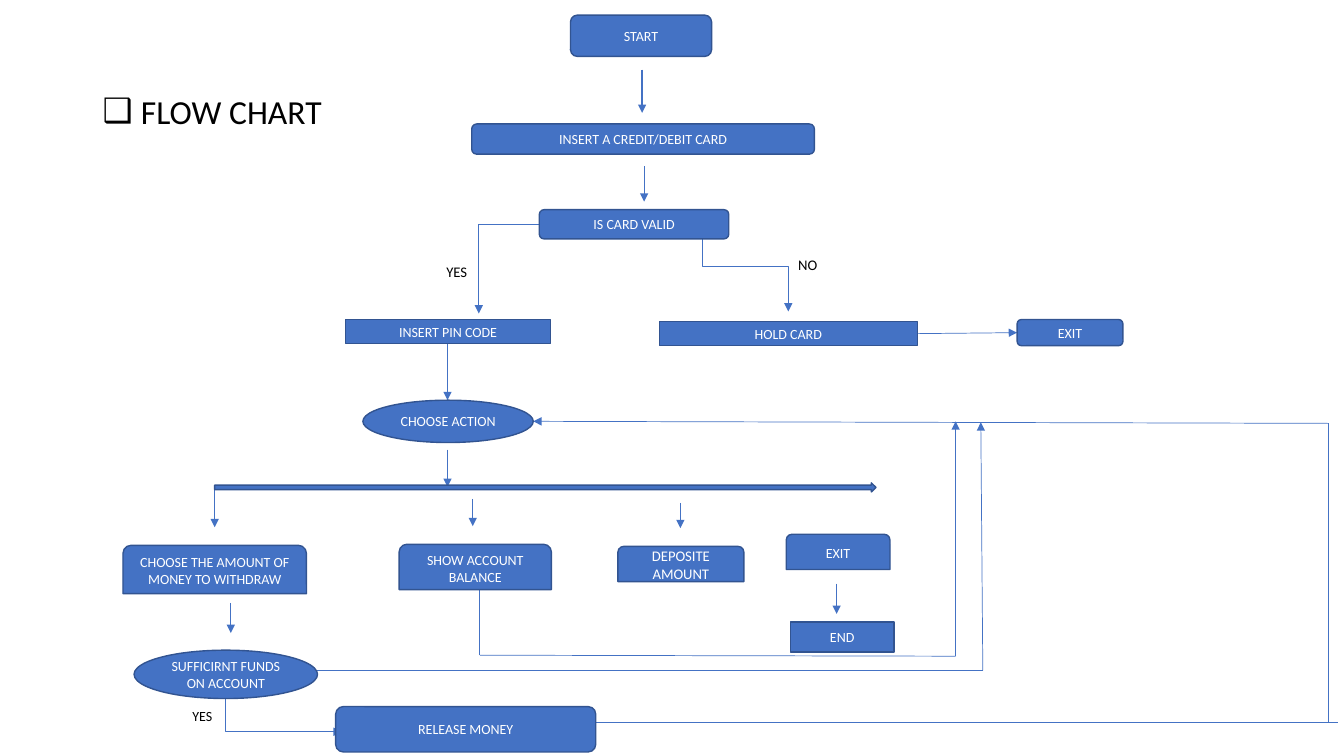
from lxml import etree
from pptx import Presentation
from pptx import util as u
from pptx.dml import color
from pptx.enum import shapes, text
from pptx.oxml import ns

UNIT = 0.1
COLS, ROWS = 133.33, 75
FONT = "Calibri"
BLUE, NAVY, WHITE, BLACK = "4472C4", "325491", "FFFFFF", "000000"

KIND = shapes.MSO_SHAPE
ROUND, RECT, OVAL = KIND.ROUNDED_RECTANGLE, KIND.RECTANGLE, KIND.OVAL
TOP_ROUND, BAR = KIND.ROUND_2_SAME_RECTANGLE, KIND.RIGHT_ARROW

NODES = [
    (ROUND, 56.6, 1.5, 14, 4.1, "START"),
    (ROUND, 46.8, 12.3, 34, 3, "INSERT A CREDIT/DEBIT CARD"),
    (ROUND, 53.5, 20.8, 18.8, 2.9, "IS CARD VALID"),
    (RECT, 34.3, 31.7, 20.3, 2.4, "INSERT PIN CODE"),
    (RECT, 65.4, 31.9, 25.6, 2.4, "HOLD CARD"),
    (ROUND, 100.9, 31.7, 10.5, 2.6, "EXIT"),
    (OVAL, 36, 39.7, 16.9, 4.2, "CHOOSE ACTION"),
    (BAR, 21.3, 47.9, 65.6, 0.9, ""),
    (TOP_ROUND, 12.2, 54.1, 18.2, 4.8, "CHOOSE THE AMOUNT OF MONEY TO WITHDRAW"),
    (TOP_ROUND, 39.6, 54, 15.1, 4.5, "SHOW ACCOUNT BALANCE"),
    (TOP_ROUND, 61.3, 54.2, 12.5, 3.5, "DEPOSITE AMOUNT", 10.5),
    (TOP_ROUND, 78, 53, 10.3, 3.5, "EXIT"),
    (RECT, 78.4, 61.7, 10.3, 3, "END"),
    (OVAL, 13.3, 64.5, 18.2, 4.8, "SUFFICIRNT FUNDS ON ACCOUNT"),
    (ROUND, 33.3, 70.1, 25.8, 4.5, "RELEASE MONEY"),
]
DOWN_ARROWS = [
    (63.9, 16.5, 20), (44.4, 34.1, 39.7), (44.4, 44.6, 48.3),
    (21.3, 48.4, 52.3), (46.9, 49.5, 52.2), (67.5, 49.9, 52.4),
    (83, 57.9, 60.9), (22.9, 59.8, 62.8),
]
ROUTES = [
    [(91, 33.1), (100.9, 33)],
    [(131.8, 71.7), (131.8, 42), (52.9, 41.8)],
    [(30.5, 66.5), (97.5, 66.5), (97.3, 41.9)],
    [(47.6, 57.2), (47.6, 65), (94.8, 65.1), (94.8, 41.8)],
]
ELBOWS = [
    ("bentConnector3", (78.4, 22.2), (69.5, 30.7), 270),
    ("bentConnector2", (47.5, 31.1), (53.5, 22.3), 180),
    ("bentConnector2", (29.8, 65.2), (26.5, 76.7), 270),
]
LABELS = [
    (43.3, 25.6, 5.8, 2.8, "YES", 10.5),
    (78.2, 24.9, 6.2, 2.8, "NO", 10.5),
    (18.1, 69.7, 9.1, 2.7, "YES", 10),
]


def grid(*cells):
    return [u.Inches(c * UNIT) for c in cells]


def rgb(value):
    return color.RGBColor.from_string(value)


def write(tf, words, size, ink):
    tf.word_wrap = True
    tf.text = words
    p = tf.paragraphs[0]
    for r in p.runs:
        r.font.name = FONT
        r.font.size = u.Pt(size)
        r.font.color.rgb = rgb(ink)
    return p


def node(s, kind, x, y, w, h, words, size=10):
    sp = s.shapes.add_shape(kind, *grid(x, y, w, h))
    sp.shadow.inherit = False
    sp.fill.solid()
    sp.fill.fore_color.rgb = rgb(BLUE)
    sp.line.color.rgb = rgb(NAVY)
    sp.line.width = u.Pt(1)
    if words:
        tf = sp.text_frame
        tf.vertical_anchor = text.MSO_ANCHOR.MIDDLE
        write(tf, words, size, WHITE).alignment = text.PP_ALIGN.CENTER


def label(s, x, y, w, h, words, size):
    tf = s.shapes.add_textbox(*grid(x, y, w, h)).text_frame
    write(tf, words, size, BLACK)
    tf.auto_size = text.MSO_AUTO_SIZE.SHAPE_TO_FIT_TEXT


def title(s, x, y, w, h, words):
    tf = s.shapes.add_textbox(*grid(x, y, w, h)).text_frame
    tf.vertical_anchor = text.MSO_ANCHOR.MIDDLE
    p = write(tf, words, 24, BLACK)
    p.line_spacing = 0.9
    pr = p._p.get_or_add_pPr()
    indent = u.Inches(0.38)
    pr.set("marL", str(indent))
    pr.set("indent", str(-indent))
    etree.SubElement(pr, ns.qn("a:buFont")).set("typeface", "Arial")
    etree.SubElement(pr, ns.qn("a:buChar")).set("char", "❑")


def line(s, start, end, arrow=True, width=0.5, kind=shapes.MSO_CONNECTOR.STRAIGHT):
    c = s.shapes.add_connector(kind, *grid(*start, *end))
    c.line.color.rgb = rgb(BLUE)
    c.line.width = u.Pt(width)
    if arrow:
        etree.SubElement(c.line._get_or_add_ln(), ns.qn("a:tailEnd")).set("type", "triangle")
    etree.SubElement(c._element.spPr, ns.qn("a:effectLst"))
    return c


def route(s, points):
    for start, end in zip(points, points[1:]):
        line(s, start, end, arrow=end == points[-1])


def elbow(s, preset, start, end, degrees):
    c = line(s, start, end, kind=shapes.MSO_CONNECTOR.ELBOW)
    pr = c._element.spPr
    pr.find(ns.qn("a:prstGeom")).set("prst", preset)
    pr.find(ns.qn("a:xfrm")).set("rot", str(degrees * 60000))


def main():
    prs = Presentation()
    prs.slide_width, prs.slide_height = grid(COLS, ROWS)
    s = prs.slides.add_slide(prs.slide_layouts[6])
    title(s, 9.2, 4, 115, 14.5, "FLOW CHART")
    line(s, (63.7, 6.9), (63.7, 11.2), width=1)
    line(s, (59.1, 71.7), (132.7, 71.7), arrow=False)
    for x, top, bottom in DOWN_ARROWS:
        line(s, (x, top), (x, bottom))
    for points in ROUTES:
        route(s, points)
    for bend in ELBOWS:
        elbow(s, *bend)
    for item in NODES:
        node(s, *item)
    for item in LABELS:
        label(s, *item)
    prs.save("out.pptx")


if __name__ == "__main__":
    main()
